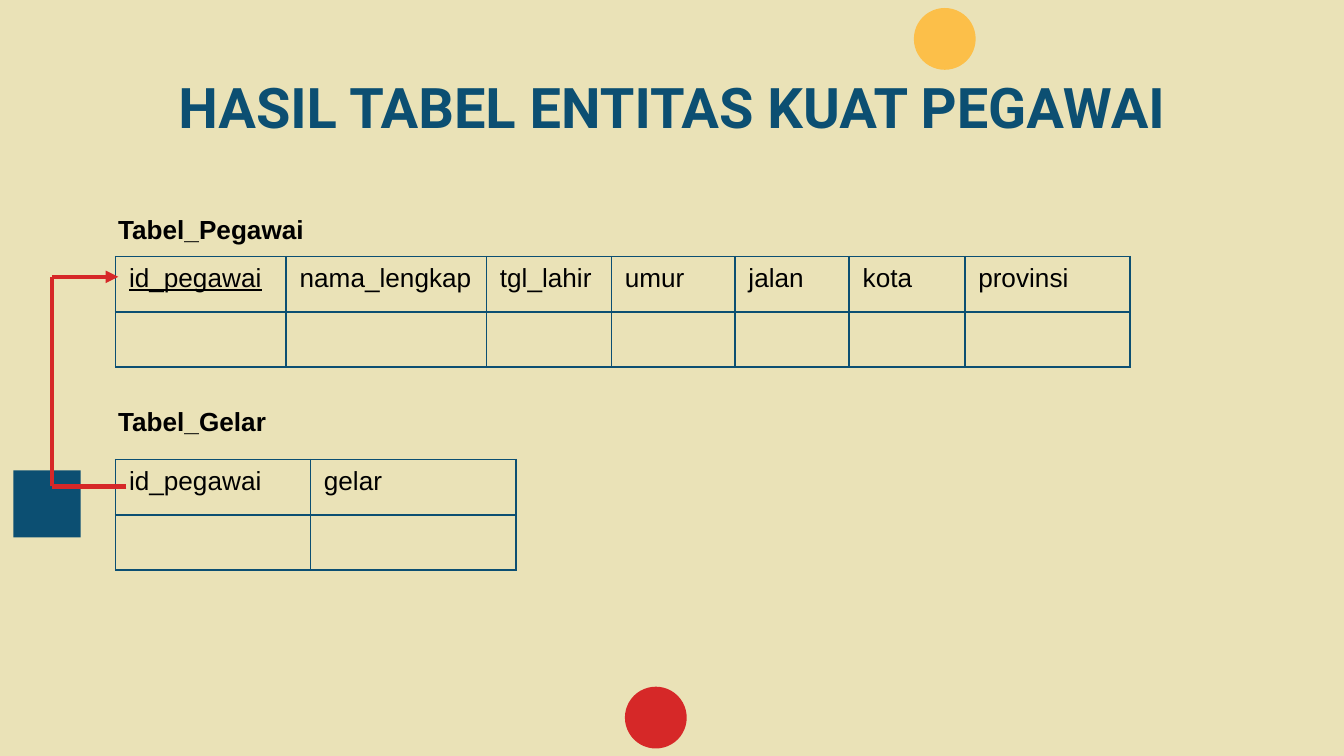
from lxml.etree import SubElement as Sub
from pptx import Presentation
from pptx.dml.color import RGBColor as RGB
from pptx.enum.shapes import MSO_CONNECTOR as Link, MSO_SHAPE as Kind
from pptx.enum.text import MSO_ANCHOR as Anchor, PP_ALIGN as Align
from pptx.oxml.ns import qn
from pptx.util import Inches, Pt

SAND, NAVY, GOLD, RED, BLACK = "EAE2B7", "0C4F72", "FCBF49", "D62828", "000000"
BODY = {"name": "Arial", "size": Pt(14)}
HEAD = {"name": "Roboto", "size": Pt(30), "bold": True}
ROW = 0.41


def paint(target, color):
    target.rgb = RGB.from_string(color)


def write(para, text, form, color):
    run = para.add_run()
    run.text = text
    for key, val in form.items():
        setattr(run.font, key, val)
    paint(run.font.color, color)


def add_mark(slide, kind, box, color):
    mark = slide.shapes.add_shape(kind, *map(Inches, box))
    mark.shadow.inherit = False
    mark.fill.solid()
    paint(mark.fill.fore_color, color)
    mark.line.fill.background()


def add_text(slide, box, text, form, color, align=Align.LEFT, inset=0.05):
    frame = slide.shapes.add_textbox(*map(Inches, box)).text_frame
    frame.word_wrap = True
    frame.vertical_anchor = Anchor.TOP
    frame.margin_top = frame.margin_bottom = Inches(inset)
    para = frame.paragraphs[0]
    para.alignment = align
    write(para, text, form, color)


def add_edges(cell, color):
    props = cell._tc.get_or_add_tcPr()
    for side in ("lnL", "lnR", "lnT", "lnB"):
        edge = Sub(props, qn("a:" + side), w=str(Pt(1)))
        Sub(Sub(edge, qn("a:solidFill")), qn("a:srgbClr"), val=color)


def add_grid(slide, left, top, cols, key=None):
    """Place a header row over one empty row; cols maps name to width, key is underlined."""
    size = left, top, sum(cols.values()), 2 * ROW
    grid = slide.shapes.add_table(2, len(cols), *map(Inches, size)).table
    grid.first_row = grid.horz_banding = False
    for cell in grid.iter_cells():
        add_edges(cell, NAVY)
        cell.fill.background()
    for i, (name, width) in enumerate(cols.items()):
        grid.columns[i].width = Inches(width)
        form = {**BODY, "underline": name == key}
        write(grid.cell(0, i).text_frame.paragraphs[0], name, form, BLACK)


def add_entity(slide, left, label_top, grid_top, name, cols, key=None):
    box = left - 0.08, label_top, 1.91, 0.34
    add_text(slide, box, name, {**BODY, "bold": True}, BLACK)
    add_grid(slide, left, grid_top, cols, key)


def add_line(slide, start, end, arrow=False):
    line = slide.shapes.add_connector(Link.STRAIGHT, *map(Inches, start + end))
    line.line.width = Pt(2.25)
    paint(line.line.color, RED)
    if arrow:
        Sub(line.line._get_or_add_ln(), qn("a:tailEnd"), type="triangle")
    Sub(line._element.spPr, qn("a:effectLst"))


def add_key_link(slide, left, low, high):
    """Lead from the foreign key at low, round the left side, to the key at high."""
    add_line(slide, (left + 0.55, low), (left, low))
    add_line(slide, (left, low), (left, high))
    add_line(slide, (left, high), (left + 0.49, high), arrow=True)


def main():
    deck = Presentation()
    deck.slide_width = Inches(10)
    deck.slide_height = deck.slide_width * 9 // 16
    slide = deck.slides.add_slide(deck.slide_layouts[6])
    slide.background.fill.solid()
    paint(slide.background.fill.fore_color, SAND)

    add_mark(slide, Kind.RECTANGLE, (0.1, 3.5, 0.5, 0.5), NAVY)
    add_mark(slide, Kind.OVAL, (6.8, 0.06, 0.46, 0.46), GOLD)
    add_mark(slide, Kind.OVAL, (4.65, 5.11, 0.46, 0.46), RED)
    add_text(slide, (0.78, 0.44, 8.44, 0.63), "HASIL TABEL ENTITAS KUAT PEGAWAI",
             HEAD, NAVY, Align.CENTER, 0.1)

    staff = {"id_pegawai": 1.27, "nama_lengkap": 1.49, "tgl_lahir": 0.93, "umur": 0.92,
             "jalan": 0.85, "kota": 0.86, "provinsi": 1.23}
    add_entity(slide, 0.86, 1.54, 1.91, "Tabel_Pegawai", staff, "id_pegawai")
    add_entity(slide, 0.86, 2.97, 3.42, "Tabel_Gelar", {"id_pegawai": 1.45, "gelar": 1.53})
    add_key_link(slide, 0.39, 3.62, 2.06)
    deck.save("out.pptx")


if __name__ == "__main__":
    main()
